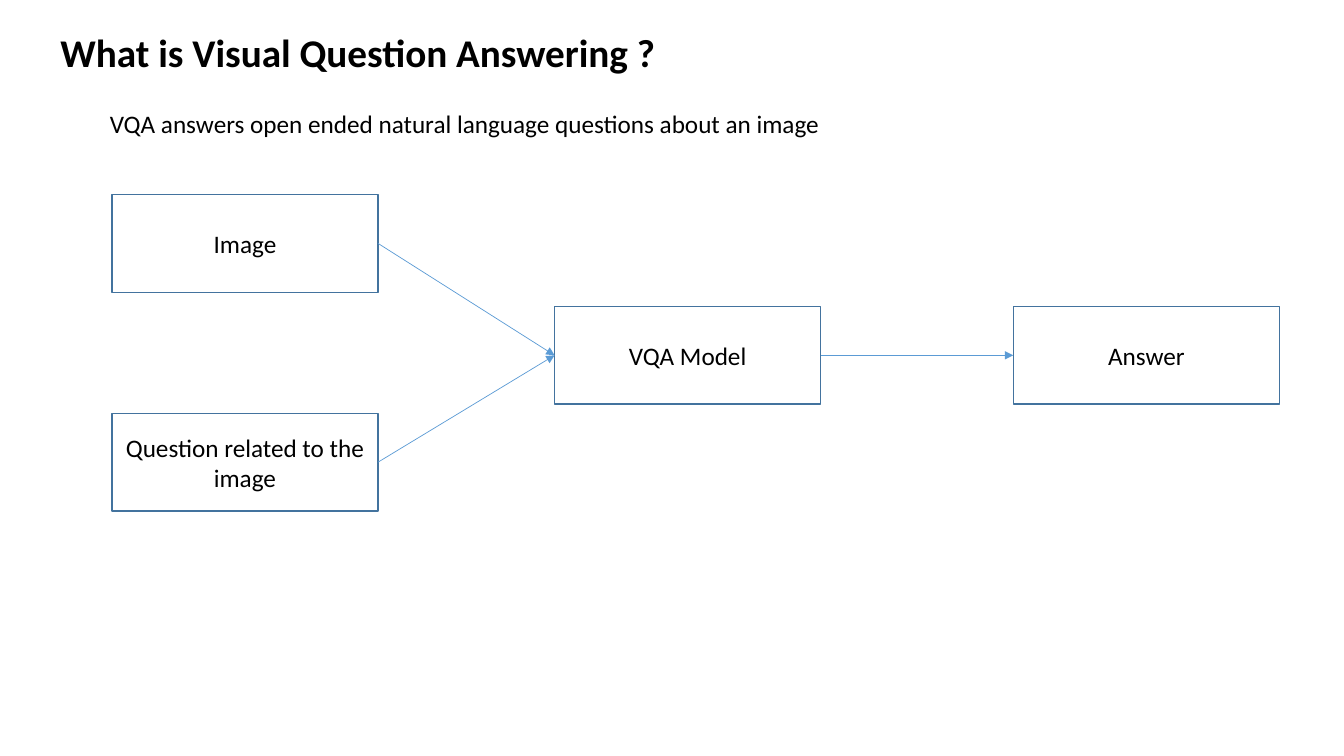
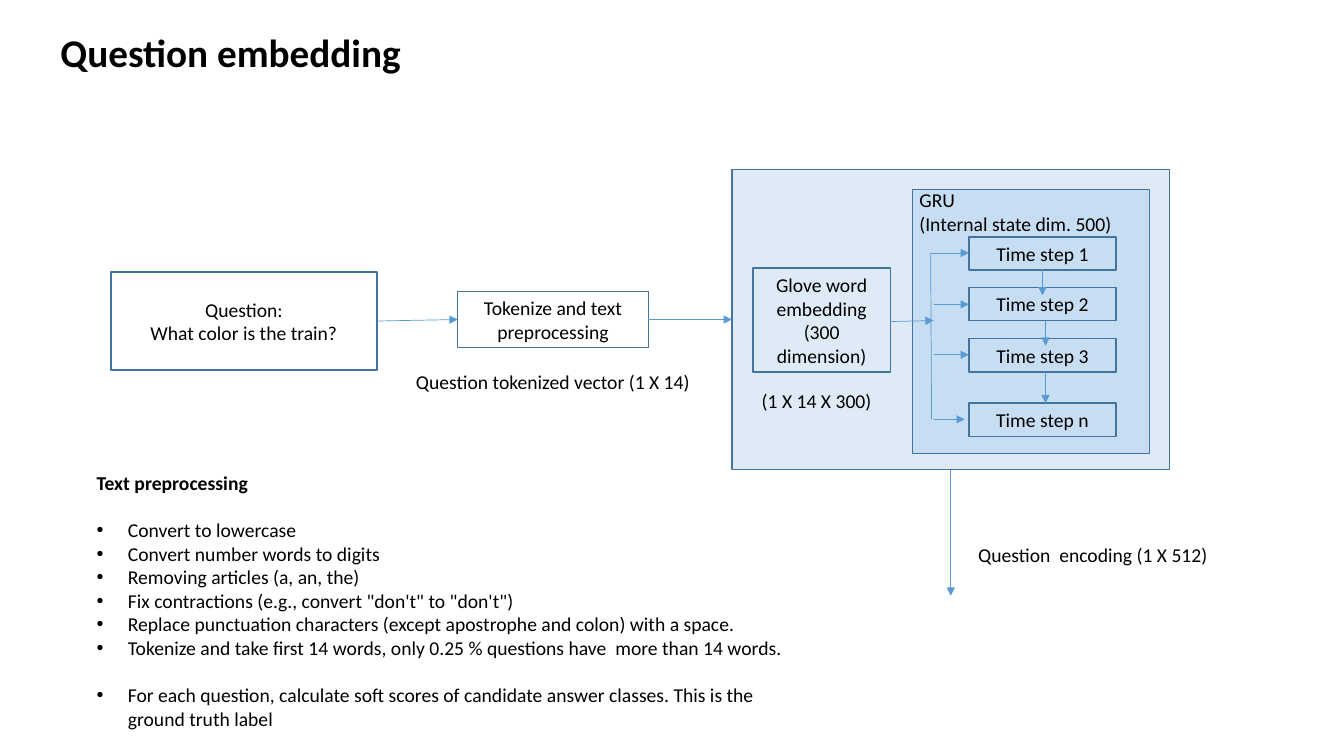
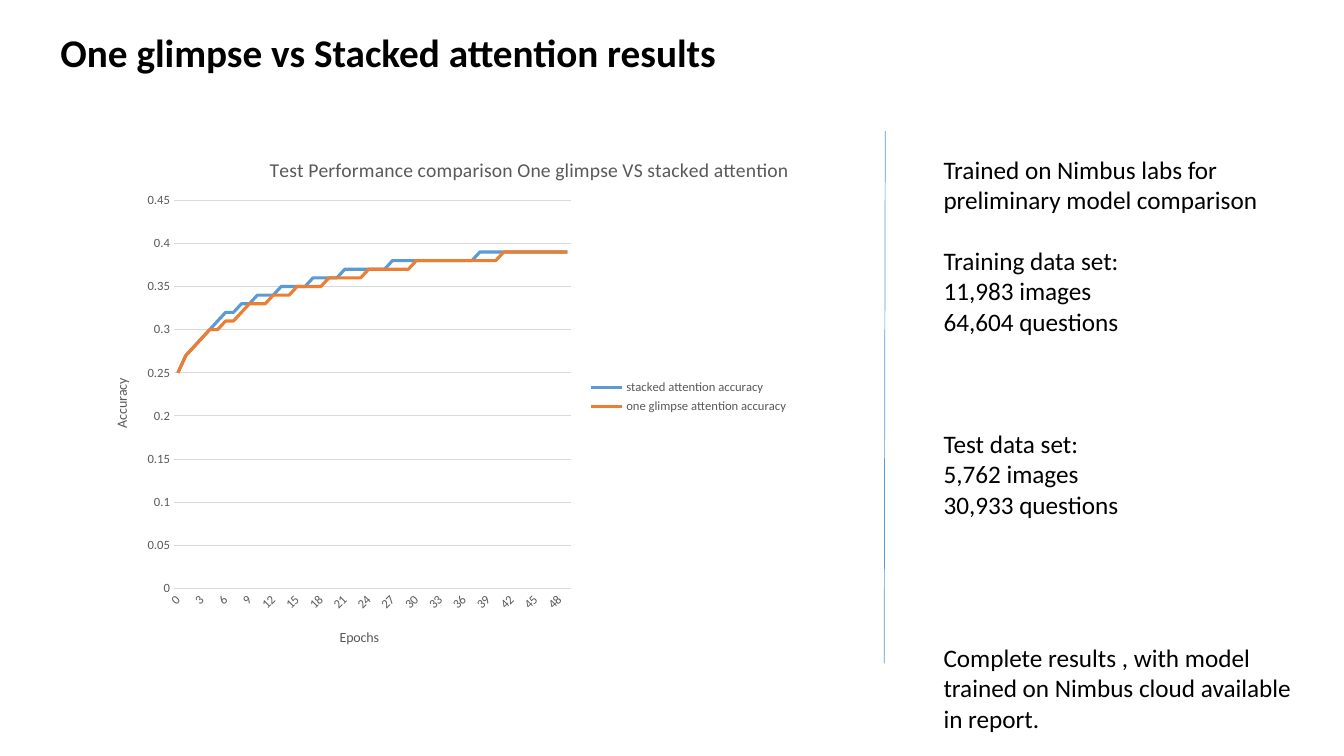
from dataclasses import dataclass
from lxml.etree import SubElement
from pptx import Presentation
from pptx.chart.data import CategoryChartData as ChartData
from pptx.dml.color import RGBColor as Color
from pptx.enum.chart import XL_CHART_TYPE as ChartType, XL_LEGEND_POSITION as LegendSide
from pptx.enum.chart import XL_TICK_MARK as Tick
from pptx.enum.shapes import MSO_CONNECTOR as Connector, MSO_SHAPE as Shape
from pptx.enum.text import MSO_ANCHOR as Anchor, MSO_AUTO_SIZE as AutoSize, PP_ALIGN as Align
from pptx.oxml.ns import qn
from pptx.util import Inches, Pt


@dataclass(frozen=True)
class Theme:
    font: str = "Calibri"
    ink: str = "000000"
    outline: str = "43739E"
    accent: str = "5B9BD5"
    second: str = "ED7D31"
    panel: str = "DEEBF7"
    muted: str = "595959"
    grid: str = "D9D9D9"
    title: float = 28
    body: float = 18
    detail: float = 14
    axis_title: float = 10
    label: float = 9
    box_line: float = 1
    thin_line: float = 0.5
    grid_line: float = 0.75
    series_line: float = 2.25


THEME = Theme()
LEFT_SITE, RIGHT_SITE = 1, 3


@dataclass(frozen=True)
class Box:
    left: float
    top: float
    width: float
    height: float

    def within(self, left, top, width, height):
        return Box(self.left + left, self.top + top, width, height)

    def point(self, left, top):
        return self.left + left, self.top + top

    def lengths(self):
        return [Inches(value) for value in (self.left, self.top, self.width, self.height)]


@dataclass(frozen=True)
class Line:
    text: str
    before: float = 0
    bold: bool = False
    bullet: bool = False


def assign(target, values):
    for name, value in values.items():
        setattr(target, name, value)


def style_font(font, size, color=THEME.ink, bold=False):
    assign(font, {"name": THEME.font, "size": Pt(size), "bold": bold})
    font.color.rgb = Color.from_string(color)


def style_line(line, color, width):
    line.color.rgb = Color.from_string(color)
    line.width = Pt(width)


def add_bullet(para):
    props = para._p.get_or_add_pPr()
    indent = Inches(0.31)
    props.set("marL", str(indent))
    props.set("indent", str(-indent))
    SubElement(props, qn("a:buFont"), typeface="Arial")
    SubElement(props, qn("a:buChar"), char="•")


def write(frame, lines, size, align=Align.LEFT, anchor=Anchor.TOP):
    assign(frame, {"word_wrap": True, "auto_size": AutoSize.NONE, "vertical_anchor": anchor})
    for index, line in enumerate(lines):
        para = frame.paragraphs[0] if index == 0 else frame.add_paragraph()
        assign(para, {"alignment": align, "space_before": Pt(line.before)})
        if line.bullet:
            add_bullet(para)
        span = para.add_run()
        span.text = line.text
        style_font(span.font, size, bold=line.bold)


def add_text(page, box, lines, size, **layout):
    text = page.shapes.add_textbox(*box.lengths())
    write(text.text_frame, lines, size, **layout)


def add_caption(page, box, text):
    add_text(page, box, [Line(text)], THEME.detail, align=Align.CENTER, anchor=Anchor.MIDDLE)


def add_node(page, box, texts=(), size=THEME.detail, fill=None, alpha=None):
    node = page.shapes.add_shape(Shape.RECTANGLE, *box.lengths())
    node.shadow.inherit = False
    style_line(node.line, THEME.outline, THEME.box_line)
    if fill:
        node.fill.solid()
        node.fill.fore_color.rgb = Color.from_string(fill)
    else:
        node.fill.background()
    if alpha:
        tint = node._element.spPr.find(qn("a:solidFill")).find(qn("a:srgbClr"))
        SubElement(tint, qn("a:alpha"), val=str(alpha * 1000))
    write(node.text_frame, [Line(text) for text in texts], size, Align.CENTER, Anchor.MIDDLE)
    return node


def add_line(page, start, end, arrow=True):
    ends = [Inches(value) for value in (*start, *end)]
    line = page.shapes.add_connector(Connector.STRAIGHT, *ends)
    style_line(line.line, THEME.accent, THEME.thin_line)
    props = line._element.spPr
    if arrow:
        SubElement(props.find(qn("a:ln")), qn("a:tailEnd"), type="triangle")
    SubElement(props, qn("a:effectLst"))
    return line


def join(page, source, target):
    line = add_line(page, (0, 0), (1, 1))
    line.begin_connect(source, RIGHT_SITE)
    line.end_connect(target, LEFT_SITE)


def new_page(deck, title):
    page = deck.slides.add_slide(deck.slide_layouts[5])
    holder = page.shapes.title
    box = Box(0.5, 0.27, 10, 0.53)
    assign(holder, dict(zip(("left", "top", "width", "height"), box.lengths())))
    write(holder.text_frame, [Line(title, bold=True)], THEME.title, anchor=Anchor.BOTTOM)
    holder.text_frame.paragraphs[0].line_spacing = 0.9
    return page


def add_model_flow(page, box):
    def node(left, top, text):
        return add_node(page, box.within(left, top, 2.64, 0.97), [text], THEME.body)

    image = node(0, 0, "Image")
    question = node(0, 2.17, "Question related to the image")
    model = node(4.39, 1.11, "VQA Model")
    answer = node(8.94, 1.11, "Answer")
    for source, target in ((image, model), (question, model), (model, answer)):
        join(page, source, target)


def add_gru(page, box):
    add_node(page, box, fill=THEME.accent, alpha=17)
    heading = [Line("GRU"), Line("(Internal state dim. 500)")]
    add_text(page, box.within(-0.03, -0.06, 2.32, 0.57), heading, THEME.detail)
    steps = (("1", 0.47), ("2", 0.97), ("3", 1.48), ("n", 2.12))
    for name, top in steps:
        add_node(page, box.within(0.56, top, 1.46, 0.33), [f"Time step {name}"])
    add_line(page, box.point(0.18, 0.63), box.point(0.19, 2.28), arrow=False)
    for left, right, height in ((0.18, 0.56, 0.63), (0.21, 0.56, 1.14),
                                (0.21, 0.56, 1.64), (0.21, 0.52, 2.28)):
        add_line(page, box.point(left, height), box.point(right, height))
    for left, top, bottom in ((1.29, 0.79, 1.05), (1.32, 1.3, 1.55), (1.32, 1.81, 2.12)):
        add_line(page, box.point(left, top), box.point(left, bottom))


def add_encoder(page, box):
    encoder = add_node(page, box, fill=THEME.panel)
    add_node(page, box.within(0.21, 0.98, 1.36, 1.03), ["Glove word embedding", "(300 dimension)"])
    add_caption(page, box.within(0.09, 2.18, 1.5, 0.22), "(1 X 14 X 300)")
    add_gru(page, box.within(1.79, 0.2, 2.35, 2.62))
    add_line(page, box.point(1.58, 1.51), box.point(2, 1.5))
    add_line(page, box.point(2.17, 2.98), box.point(2.17, 4.23))
    add_caption(page, box.within(2.14, 3.69, 2.88, 0.26), "Question  encoding (1 X 512)")
    return encoder


def add_embedding_flow(page, box):
    question = add_node(page, box.within(0, 1.02, 2.64, 0.97),
                        ["Question:", "What color is the train?"])
    tokenizer = add_node(page, box.within(3.44, 1.21, 1.89, 0.56),
                         ["Tokenize and text preprocessing"])
    add_caption(page, box.within(2.87, 1.97, 3.03, 0.27), "Question tokenized vector (1 X 14)")
    encoder = add_encoder(page, box.within(6.16, 0, 4.34, 2.98))
    join(page, question, tokenizer)
    join(page, tokenizer, encoder)


def add_preprocessing(page, box):
    gap = 17
    items = (
        ("Convert to lowercase", gap),
        ("Convert number words to digits", 0),
        ("Removing articles (a, an, the)", 0),
        ("Fix contractions (e.g., convert \"don't\" to \"don't\")", 0),
        ("Replace punctuation characters (except apostrophe and colon) with a space.", 0),
        ("Tokenize and take first 14 words, only 0.25 % questions have  more than 14 words.", 0),
        ("For each question, calculate soft scores of candidate answer classes. "
         "This is the ground truth label", gap),
    )
    lines = [Line("Text preprocessing", bold=True)]
    lines += [Line(text, before, bullet=True) for text, before in items]
    add_text(page, box, lines, THEME.detail)


def place(element, index, mode=None, **fractions):
    old = element.find(qn("c:layout"))
    if old is not None:
        element.remove(old)
    layout = SubElement(element, qn("c:layout"))
    element.insert(index, layout)
    manual = SubElement(layout, qn("c:manualLayout"))
    if mode:
        SubElement(manual, qn("c:layoutTarget"), val=mode)
    for name in ("x", "y"):
        SubElement(manual, qn(f"c:{name}Mode"), val="edge")
    for name, value in fractions.items():
        SubElement(manual, qn(f"c:{name}"), val=str(value))


def write_chart_title(frame, text, size):
    frame.text = text
    style_font(frame.paragraphs[0].runs[0].font, size, THEME.muted)


def style_axis(axis, title):
    assign(axis, {"major_tick_mark": Tick.NONE, "minor_tick_mark": Tick.NONE})
    style_font(axis.tick_labels.font, THEME.label, THEME.muted)
    write_chart_title(axis.axis_title.text_frame, title, THEME.axis_title)


def add_accuracy_chart(page, box):
    data = ChartData(number_format="General")
    data.categories = [str(epoch) for epoch in range(50)]
    data.add_series("stacked attention accuracy", [
        0.25, 0.27, 0.28, 0.29, 0.3, 0.31, 0.32, 0.32, 0.33, 0.33,
        0.34, 0.34, 0.34, 0.35, 0.35, 0.35, 0.35, 0.36, 0.36, 0.36,
        0.36, 0.37, 0.37, 0.37, 0.37, 0.37, 0.37, 0.38, 0.38, 0.38,
        0.38, 0.38, 0.38, 0.38, 0.38, 0.38, 0.38, 0.38, 0.39, 0.39,
        0.39, 0.39, 0.39, 0.39, 0.39, 0.39, 0.39, 0.39, 0.39, 0.39])
    data.add_series("one glimpse attention accuracy", [
        0.25, 0.27, 0.28, 0.29, 0.3, 0.3, 0.31, 0.31, 0.32, 0.33,
        0.33, 0.33, 0.34, 0.34, 0.34, 0.35, 0.35, 0.35, 0.35, 0.36,
        0.36, 0.36, 0.36, 0.36, 0.37, 0.37, 0.37, 0.37, 0.37, 0.37,
        0.38, 0.38, 0.38, 0.38, 0.38, 0.38, 0.38, 0.38, 0.38, 0.38,
        0.38, 0.39, 0.39, 0.39, 0.39, 0.39, 0.39, 0.39, 0.39, 0.39])
    chart = page.shapes.add_chart(ChartType.LINE, *box.lengths(), data).chart
    style_font(chart.font, THEME.axis_title)
    chart.has_title = True
    write_chart_title(chart.chart_title.text_frame,
                      "Test Performance comparison One glimpse VS stacked attention", THEME.detail)
    chart.plots[0].vary_by_categories = False
    for series, color in zip(chart.plots[0].series, (THEME.accent, THEME.second)):
        series.smooth = False
        style_line(series.format.line, color, THEME.series_line)

    epochs, accuracy = chart.category_axis, chart.value_axis
    style_axis(epochs, "Epochs")
    style_axis(accuracy, "Accuracy")
    style_line(epochs.format.line, THEME.grid, THEME.grid_line)
    accuracy.format.line.fill.background()
    style_line(accuracy.major_gridlines.format.line, THEME.grid, THEME.grid_line)
    assign(accuracy, {"minimum_scale": 0, "maximum_scale": 0.45, "major_unit": 0.05})
    epochs._element.find(qn("c:txPr")).find(qn("a:bodyPr")).set("rot", "-2700000")
    accuracy.axis_title.text_frame._txBody.bodyPr.set("rot", "-5400000")

    chart.has_legend = True
    assign(chart.legend, {"position": LegendSide.RIGHT, "include_in_layout": False})
    style_font(chart.legend.font, THEME.label, THEME.muted)
    place(chart.chart_title._element, 1, x=0.25, y=0.04)
    place(epochs.axis_title._element, 1, x=0.35, y=0.93)
    place(accuracy.axis_title._element, 1, x=0.03, y=0.46)
    plot_area = chart._chartSpace.chart.plotArea
    place(plot_area, 0, "inner", x=0.12, y=0.13, w=0.56, h=0.73)


def add_data_notes(page, box):
    gap = 22
    add_text(page, box, [
        Line("Trained on Nimbus labs for preliminary model comparison"),
        Line("Training data set:", gap),
        Line("11,983 images"),
        Line("64,604 questions"),
        Line("Test data set:", 3 * gap),
        Line("5,762 images"),
        Line("30,933 questions"),
        Line("Complete results , with model trained on Nimbus cloud available in report.", 4 * gap),
    ], THEME.body)


def build_overview(deck):
    page = new_page(deck, "What is Visual Question Answering ?")
    intro = Line("VQA answers open ended natural language questions about an image")
    add_text(page, Box(0.99, 1.03, 11.21, 0.4), [intro], THEME.body)
    add_model_flow(page, Box(1.11, 1.93, 11.58, 3.14))


def build_embedding(deck):
    page = new_page(deck, "Question embedding")
    add_embedding_flow(page, Box(1.1, 1.68, 10.5, 2.98))
    add_preprocessing(page, Box(0.86, 4.62, 7.09, 2.69))


def build_results(deck):
    page = new_page(deck, "One glimpse vs Stacked attention results")
    add_accuracy_chart(page, Box(0.88, 1.3, 7.04, 5.28))
    add_line(page, (8.78, 1.3), (8.77, 6.58), arrow=False)
    add_data_notes(page, Box(9.26, 1.48, 3.74, 5.86))


def main():
    deck = Presentation()
    assign(deck, {"slide_width": Inches(13.33), "slide_height": Inches(7.5)})
    for build in (build_overview, build_embedding, build_results):
        build(deck)
    deck.save("out.pptx")


if __name__ == "__main__":
    main()
